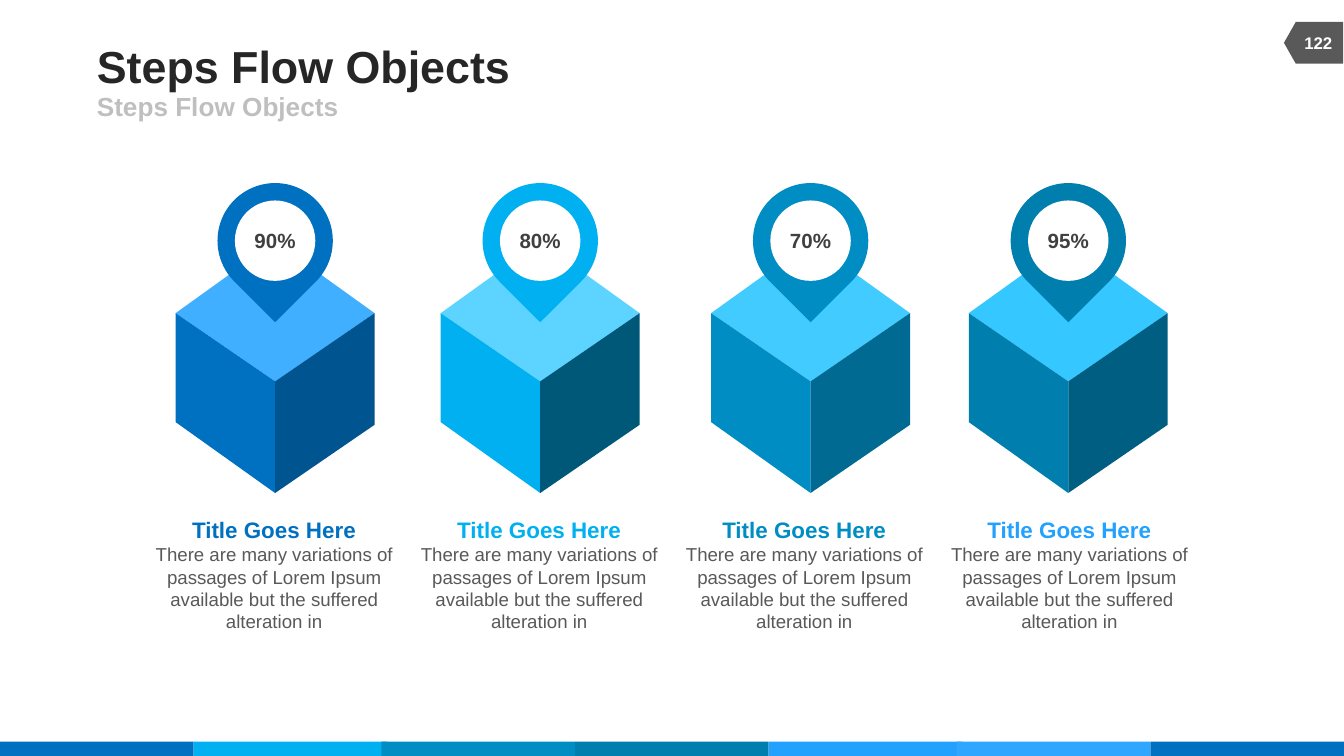
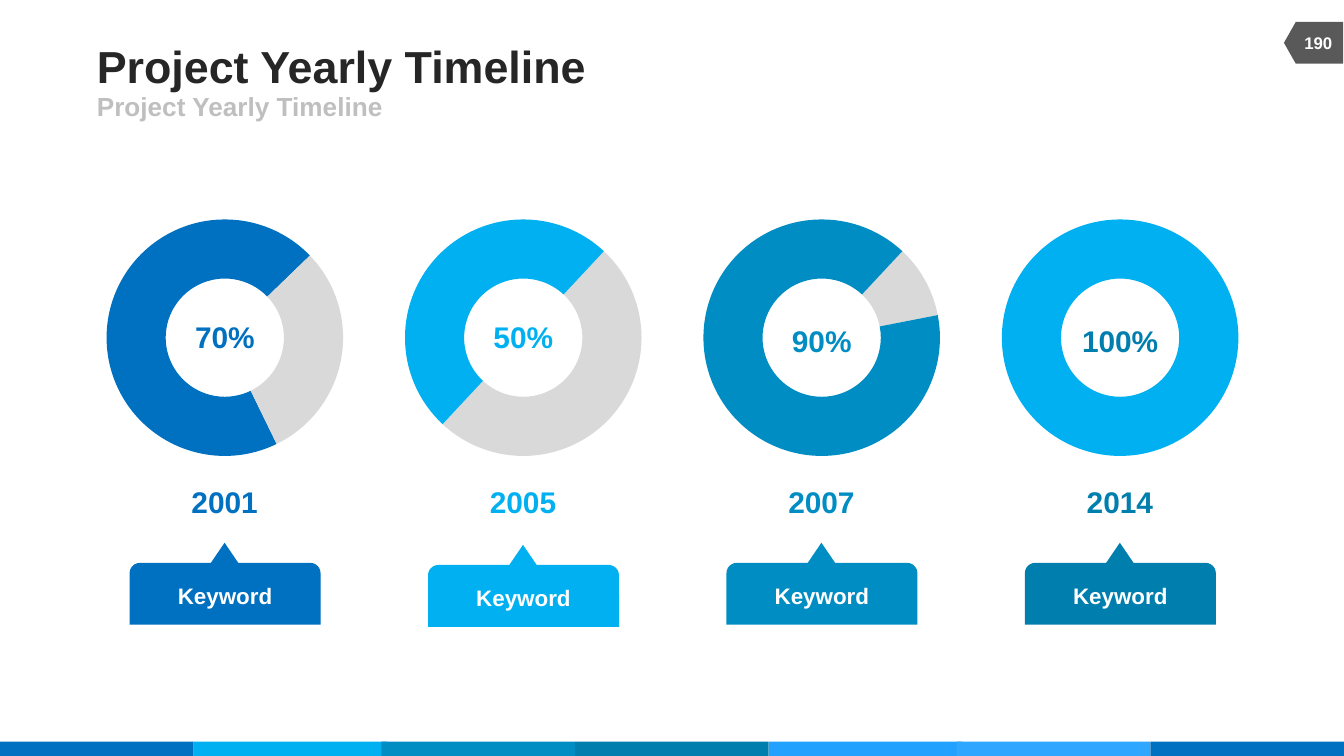
from pptx import Presentation
from pptx.chart.data import CategoryChartData
from pptx.dml.color import RGBColor
from pptx.enum.chart import XL_CHART_TYPE
from pptx.enum.shapes import MSO_SHAPE
from pptx.enum.text import MSO_ANCHOR, MSO_AUTO_SIZE, PP_ALIGN
from pptx.oxml import parse_xml
from pptx.oxml.ns import nsdecls
from pptx.util import Cm, Pt

RECTANGLE = MSO_SHAPE.RECTANGLE
PAGE_TAG = MSO_SHAPE.FLOWCHART_OFFPAGE_CONNECTOR
TEARDROP = MSO_SHAPE.TEAR
ELLIPSE = MSO_SHAPE.OVAL
TRIANGLE = MSO_SHAPE.ISOSCELES_TRIANGLE
TAB = MSO_SHAPE.ROUND_2_SAME_RECTANGLE
DOUGHNUT = XL_CHART_TYPE.DOUGHNUT
MIDDLE, TOP = MSO_ANCHOR.MIDDLE, MSO_ANCHOR.TOP
LEFT, CENTER = PP_ALIGN.LEFT, PP_ALIGN.CENTER
NO_AUTOFIT = MSO_AUTO_SIZE.NONE

FONT = "Arial"
COLORS = {
    "blue": "0070C0", "sky": "00B0F0", "ocean": "008DC3", "teal": "007EAE",
    "azure": "23A1FF", "light azure": "2FA6FF",
    "blue top": "40AFFF", "sky top": "5DD4FF", "ocean top": "42CBFF", "teal top": "35C7FF",
    "blue side": "005490", "sky side": "005878", "ocean side": "006A92", "teal side": "005E82",
    "ink": "262626", "dark": "404040", "gray": "595959", "silver": "BFBFBF",
    "pale": "D9D9D9", "white": "FFFFFF", "black": "000000",
}
BANDS = [
    (0, "blue"), (3.66, "sky"), (7.21, "ocean"), (10.87, "teal"),
    (14.53, "azure"), (18.08, "light azure"), (21.74, "blue"),
]
STEP_TEXT = ("There are many variations of passages of Lorem Ipsum "
             "available but the suffered alteration in")
STEPS = [
    (5.2, "90%", "blue", "blue"),
    (10.21, "80%", "sky", "sky"),
    (15.32, "70%", "ocean", "ocean"),
    (20.19, "95%", "teal", "azure"),
]
YEARS = [
    ("2001", "70%", "blue", 154, (70, 30), ("blue", "pale"), 5.89, 1.78, 0),
    ("2005", "50%", "sky", 43, (50, 50), ("pale", "sky"), 5.89, 1.78, 0.04),
    ("2007", "90%", "ocean", 43, (10, 90), ("pale", "ocean"), 5.97, 1.78, 0),
    ("2014", "100%", "teal", 43, (0, 100), ("blue", "sky"), 5.97, 2.24, 0),
]


def color(name):
    return RGBColor.from_string(COLORS[name])


class SlideBuilder:
    def __init__(self):
        self.deck = Presentation()
        self.deck.slide_width = Cm(25.4)
        self.deck.slide_height = Cm(14.29)
        self.page = None

    def new_page(self, title, number):
        self.page = self.deck.slides.add_slide(self.deck.slide_layouts[1])
        for left, fill in BANDS:
            self.shape(RECTANGLE, left, 14.02, 3.66, 0.27, fill)
        self.shape(PAGE_TAG, 24.43, 0.25, 0.79, 1.12, "gray", rotation=90)
        heading, subtitle = self.page.placeholders
        self.placeholder(heading, title, 0.74, 15.67, 0.99, 24, "ink")
        self.placeholder(subtitle, title, 1.73, 11.43, 0.56, 14, "silver")
        self.text(24.38, 0.43, 1.07, 0.76, [(number, 9, "white", True)], anchor=MIDDLE)

    def fill_text(self, frame, lines, align=CENTER):
        for index, (words, size, ink, bold) in enumerate(lines):
            para = frame.add_paragraph() if index else frame.paragraphs[0]
            para.text = words
            para.alignment = align
            para.font.name = FONT
            para.font.size = Pt(size)
            para.font.bold = bold
            para.font.color.rgb = color(ink)

    def remove_insets(self, frame):
        frame.margin_left = frame.margin_right = 0
        frame.margin_top = frame.margin_bottom = 0

    def placeholder(self, box, words, top, width, height, size, ink):
        box.left, box.top = Cm(1.83), Cm(top)
        box.width, box.height = Cm(width), Cm(height)
        frame = box.text_frame
        frame.auto_size = NO_AUTOFIT
        frame.word_wrap = True
        frame.vertical_anchor = MIDDLE
        self.remove_insets(frame)
        self.fill_text(frame, [(words, size, ink, True)], LEFT)
        properties = frame.paragraphs[0]._p.get_or_add_pPr()
        properties.set("marL", "0")
        properties.set("indent", "0")
        properties.insert(0, parse_xml(f"<a:buNone {nsdecls('a')}/>"))

    def paint(self, shape, fill):
        shape.shadow.inherit = False
        shape.fill.solid()
        shape.fill.fore_color.rgb = color(fill)
        shape.line.fill.background()

    def shape(self, kind, left, top, width, height, fill, rotation=0):
        shape = self.page.shapes.add_shape(kind, Cm(left), Cm(top), Cm(width), Cm(height))
        shape.rotation = rotation
        self.paint(shape, fill)
        return shape

    def label(self, shape, words, size, ink):
        frame = shape.text_frame
        frame.vertical_anchor = MIDDLE
        self.fill_text(frame, [(words, size, ink, True)])

    def text(self, left, top, width, height, lines, anchor=TOP, tight=False):
        box = self.page.shapes.add_textbox(Cm(left), Cm(top), Cm(width), Cm(height))
        frame = box.text_frame
        frame.word_wrap = not tight
        frame.vertical_anchor = anchor
        if tight:
            self.remove_insets(frame)
        self.fill_text(frame, lines)

    def polygon(self, points, fill):
        start, *rest = [(Cm(x), Cm(y)) for x, y in points]
        outline = self.page.shapes.build_freeform(*start)
        outline.add_line_segments(rest, close=True)
        self.paint(outline.convert_to_shape(), fill)

    def cube(self, center, hue):
        left, right = center - 1.88, center + 1.88
        front = (center, 7.21)
        bottom = (center, 9.32)
        self.polygon([(right, 5.92), front, (left, 5.92), (center, 4.57)], f"{hue} top")
        self.polygon([front, bottom, (left, 7.98), (left, 5.92)], hue)
        self.polygon([bottom, front, (right, 5.92), (right, 8.03)], f"{hue} side")

    def pin(self, center, words, hue):
        self.shape(TEARDROP, center - 1.09, 3.46, 2.18, 2.18, hue, rotation=135)
        disc = self.shape(ELLIPSE, center - 0.76, 3.79, 1.52, 1.52, "white")
        self.remove_insets(disc.text_frame)
        self.label(disc, words, 11, "dark")

    def doughnut(self, center, values, fills, angle):
        data = CategoryChartData()
        data.categories = ["1", "2"]
        data.add_series("Series 1", values)
        chart = self.page.shapes.add_chart(
            DOUGHNUT, Cm(center - 2.6), Cm(3.63), Cm(5.2), Cm(5.51), data).chart
        chart.has_legend = False
        chart.has_title = False
        chart.font.name = FONT
        chart.font.size = Pt(18)
        chart.font.color.rgb = color("black")
        plot = chart.plots[0]
        plot.vary_by_categories = True
        for index, fill in enumerate(fills):
            style = plot.series[0].points[index].format
            style.fill.solid()
            style.fill.fore_color.rgb = color(fill)
            style.line.fill.background()
        area = chart.element.xpath("c:chart/c:plotArea")[0]
        area.xpath(".//c:firstSliceAng")[0].set("val", str(angle))
        area.xpath(".//c:holeSize")[0].set("val", "70")
        for layout in area.xpath("c:layout"):
            area.remove(layout)
        area.insert(0, parse_xml(
            f"<c:layout {nsdecls('c')}><c:manualLayout>"
            '<c:layoutTarget val="inner"/><c:xMode val="edge"/><c:yMode val="edge"/>'
            '<c:x val="0.07"/><c:y val="0.09"/><c:w val="0.86"/><c:h val="0.82"/>'
            "</c:manualLayout></c:layout>"))

    def keyword(self, center, drop, hue):
        self.shape(TRIANGLE, center - 0.4, 10.26 + drop, 0.79, 0.58, hue)
        tab = self.shape(TAB, center - 1.8, 10.64 + drop, 3.61, 1.17, hue)
        self.label(tab, "Keyword", 12, "white")

    def steps_page(self):
        self.new_page("Steps Flow Objects", "122")
        for index, (center, percent, hue, title_hue) in enumerate(STEPS):
            self.cube(center, hue)
            self.pin(center, percent, hue)
            self.text(2.69 + 5.01 * index, 9.63, 4.98, 2.49, [
                ("Title Goes Here", 12, title_hue, True),
                (STEP_TEXT, 10, "gray", False),
            ])

    def timeline_page(self):
        self.new_page("Project Yearly Timeline", "190")
        for index, row in enumerate(YEARS):
            year, percent, hue, angle, values, fills, top, width, drop = row
            center = 4.25 + 5.64 * index
            self.doughnut(center, values, fills, angle)
            self.text(center - width / 2, top, width, 0.94,
                      [(percent, 16, hue, True)], anchor=MIDDLE)
            self.text(center - 0.64, 9.14, 1.27, 0.69, [(year, 16, hue, True)], tight=True)
            self.keyword(center, drop, hue)


def main():
    builder = SlideBuilder()
    builder.steps_page()
    builder.timeline_page()
    builder.deck.save("out.pptx")


if __name__ == "__main__":
    main()
